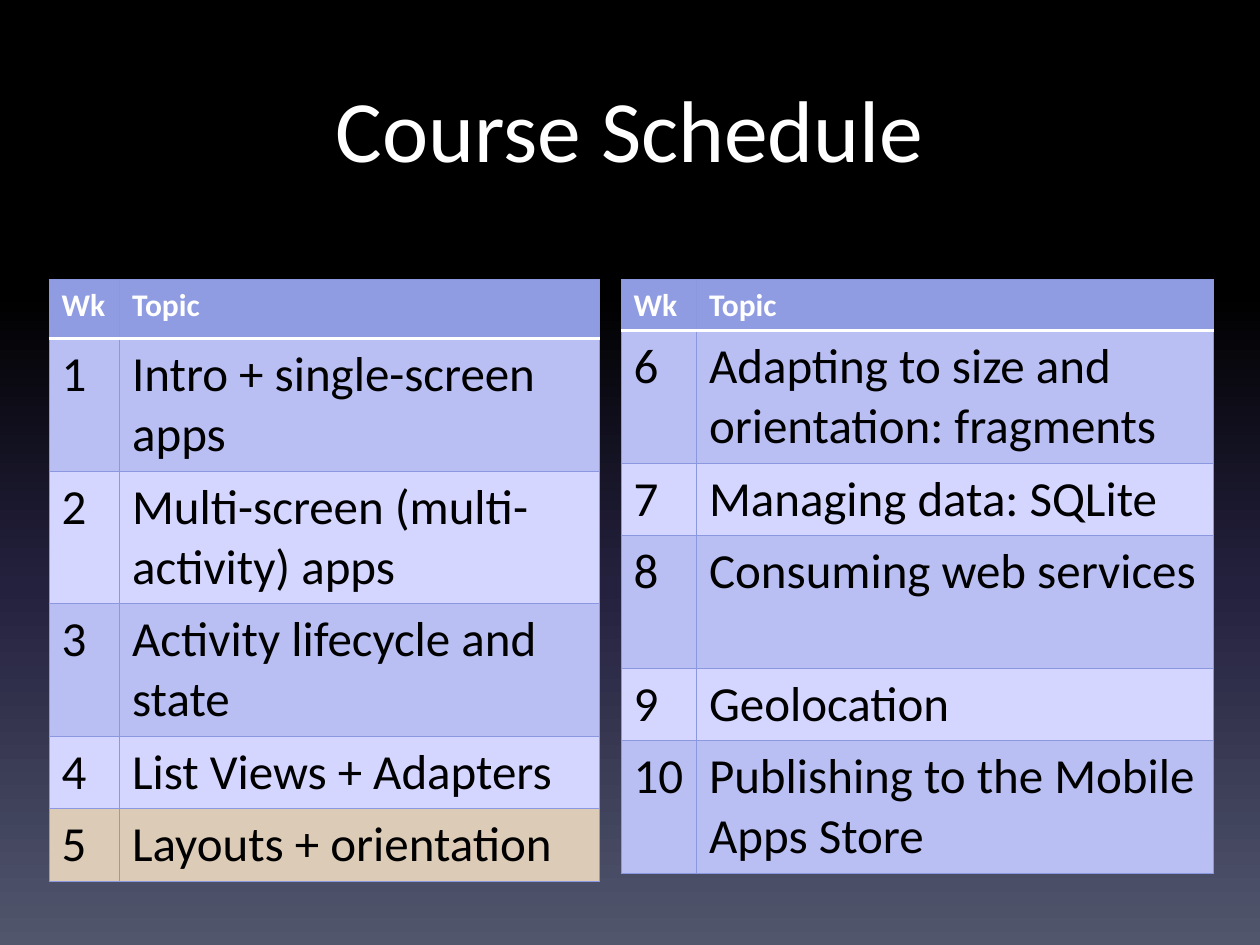
from lxml import etree
from pptx import Presentation
from pptx.dml.color import RGBColor
from pptx.enum.text import MSO_ANCHOR, PP_ALIGN
from pptx.oxml.ns import qn
from pptx.util import Cm, Pt

MIDDLE = MSO_ANCHOR.MIDDLE
CENTER = PP_ALIGN.CENTER

FONT = "Calibri"
WHITE = RGBColor(0xFF, 0xFF, 0xFF)
BLACK = RGBColor(0x00, 0x00, 0x00)
NAVY = RGBColor(0x24, 0x21, 0x3E)
SLATE = RGBColor(0x51, 0x56, 0x6D)
HEADER_BLUE = RGBColor(0x90, 0x9C, 0xE1)
BAND_DARK = RGBColor(0xB9, 0xBF, 0xF3)
BAND_LIGHT = RGBColor(0xD4, 0xD6, 0xFF)
HIGHLIGHT = RGBColor(0xDC, 0xCB, 0xB7)
RULE_BLUE = RGBColor(0x8B, 0x97, 0xDE)

BACKGROUND_STOPS = [(0, BLACK), (31, BLACK), (62, NAVY), (100, SLATE)]
TITLE_BOX = (1.27, 1.27, 22.86, 3.18)
HIGHLIGHTED_WEEK = 5

# Each schedule: left, top, column widths, row heights (cm), topics, first week
SCHEDULES = [
    (0.99, 5.64, [1.42, 9.68], [1.19, 2.67, 2.67, 2.67, 1.45, 1.45],
     ["Intro + single-screen apps", "Multi-screen (multi-activity) apps",
      "Activity lifecycle and state", "List Views + Adapters",
      "Layouts + orientation"], 1),
    (12.52, 5.64, [1.52, 10.42], [1.03, 2.67, 1.45, 2.67, 1.45, 2.67],
     ["Adapting to size and orientation: fragments", "Managing data: SQLite",
      "Consuming web services", "Geolocation",
      "Publishing to the Mobile Apps Store"], 6),
]


def add_solid_color(parent, color):
    etree.SubElement(parent, qn("a:srgbClr"), val=str(color))


def paint_background(page):
    fill = page.background.fill
    fill.gradient()
    fill.gradient_angle = 270
    stops = next(page.element.iter(qn("a:gsLst")))
    for stop in list(stops):
        stops.remove(stop)
    for percent, color in BACKGROUND_STOPS:
        stop = etree.SubElement(stops, qn("a:gs"), pos=str(percent * 1000))
        add_solid_color(stop, color)


def style_text(frame, size, color, bold=False):
    for para in frame.paragraphs:
        for span in para.runs:
            span.font.name = FONT
            span.font.size = Pt(size)
            span.font.bold = bold
            span.font.color.rgb = color


def set_title(page, box, text):
    title = page.shapes.title
    title.left, title.top, title.width, title.height = map(Cm, box)
    frame = title.text_frame
    frame.text = text
    frame.vertical_anchor = MIDDLE
    frame.margin_bottom = Cm(0.7)
    frame.paragraphs[0].alignment = CENTER
    style_text(frame, 50, WHITE)


def set_borders(cell, row):
    """Thin blue rules, with a thick white one under the header row."""
    white_sides = {0: "B", 1: "T"}.get(row, "")
    properties = cell._tc.get_or_add_tcPr()
    for position, side in enumerate("LRTB"):
        color, width = (WHITE, 2) if side == white_sides else (RULE_BLUE, 0.75)
        line = etree.Element(qn(f"a:ln{side}"), w=str(Pt(width)))
        add_solid_color(etree.SubElement(line, qn("a:solidFill")), color)
        properties.insert(position, line)


def row_fill(row, week):
    if row == 0:
        return HEADER_BLUE
    if week == HIGHLIGHTED_WEEK:
        return HIGHLIGHT
    return BAND_DARK if row % 2 else BAND_LIGHT


def add_schedule(page, left, top, widths, heights, topics, first_week):
    rows = [("Wk", "Topic")]
    rows += [(str(week), topic) for week, topic in enumerate(topics, first_week)]
    table = page.shapes.add_table(
        len(rows), len(widths), Cm(left), Cm(top),
        Cm(sum(widths)), Cm(sum(heights))).table
    for column, width in zip(table.columns, widths):
        column.width = Cm(width)
    for row, (texts, height) in enumerate(zip(rows, heights)):
        table.rows[row].height = Cm(height)
        for column, text in enumerate(texts):
            cell = table.cell(row, column)
            cell.text_frame.text = text
            if row == 0:
                style_text(cell.text_frame, 18, WHITE, bold=True)
            else:
                style_text(cell.text_frame, 28, BLACK)
            cell.fill.solid()
            cell.fill.fore_color.rgb = row_fill(row, first_week + row - 1)
            set_borders(cell, row)


def main():
    deck = Presentation()
    deck.slide_width, deck.slide_height = Cm(25.4), Cm(19.05)
    page = deck.slides.add_slide(deck.slide_layouts.get_by_name("Title Only"))
    paint_background(page)
    set_title(page, TITLE_BOX, "Course Schedule")
    for schedule in SCHEDULES:
        add_schedule(page, *schedule)
    deck.save("out.pptx")


if __name__ == "__main__":
    main()
